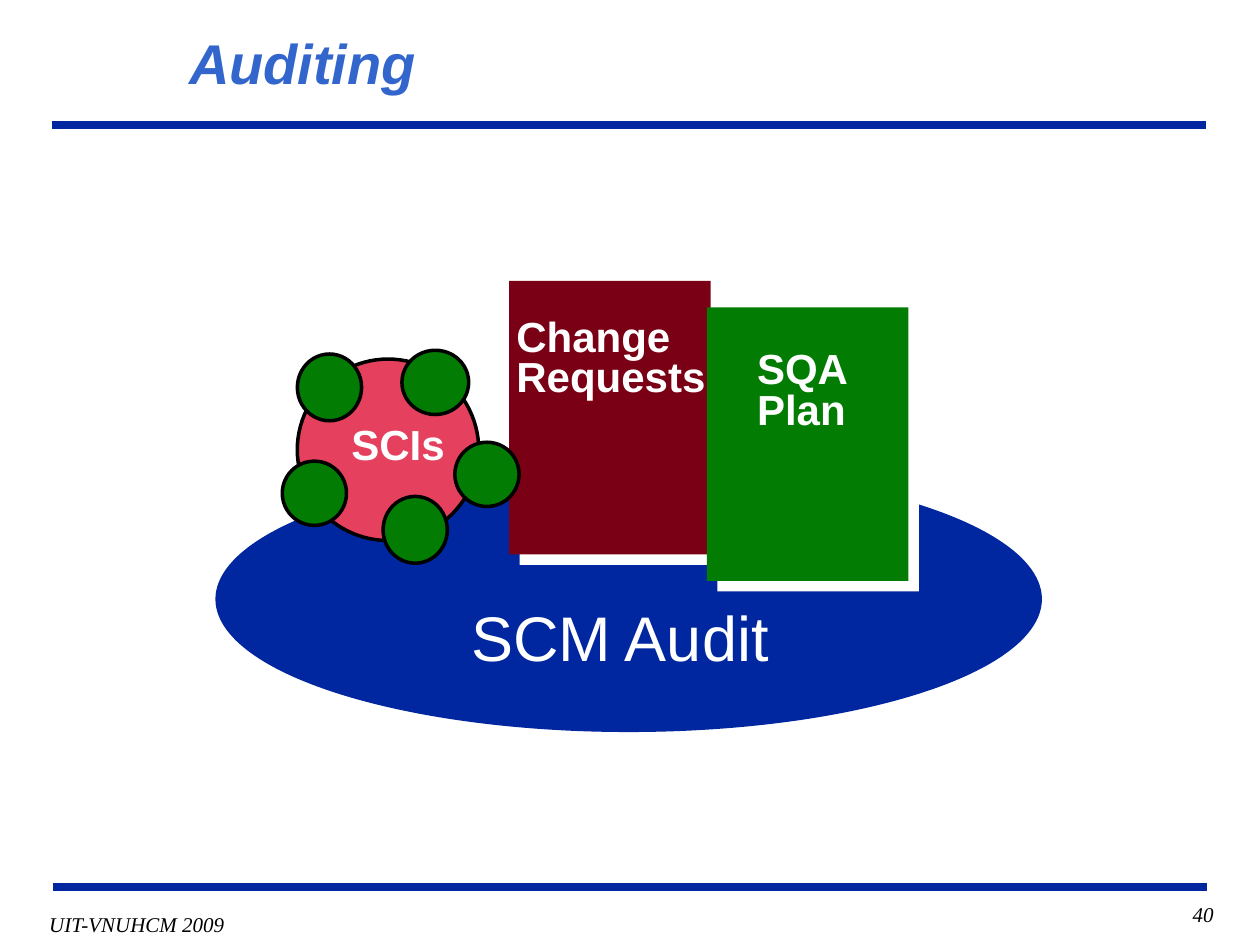
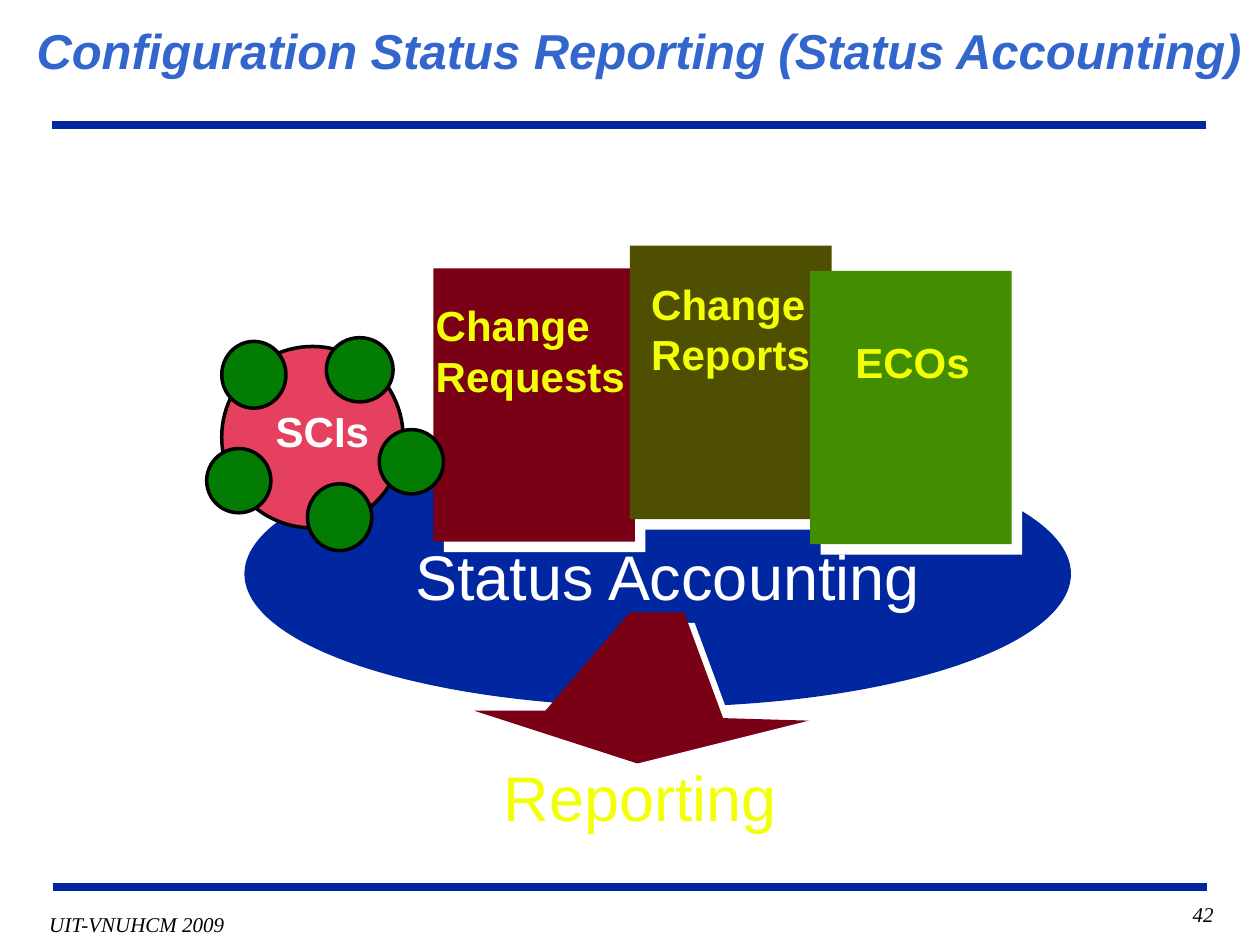
from lxml import etree
from pptx import Presentation
from pptx import util as u
from pptx.dml.color import RGBColor
from pptx.enum import shapes, text
from pptx.oxml import ns

NAVY, MAROON, GREEN, ROSE = "00279F", "790015", "037C03", "E5405D"
OLIVE, LEAF, YELLOW = "4E4F00", "438E00", "F3FF07"
TITLE_BLUE, WHITE, BLACK = "3366CC", "FFFFFF", "000000"
CARD_SIZE = (1.6, 2.17)
CARD_FONT = {"name": "Arial", "size": 24, "bold": True}
CAPTION_FONT = {"name": "Arial", "size": 36}
FOOTER_FONT = {"name": "Times New Roman", "size": 12, "italic": True}
NODES = [(0.8, 1.16, 0.51, 0.53), (1.37, 0.73, 0.51, 0.51), (0.95, 0, 0.53, 0.51),
         (0.12, 0.03, 0.51, 0.53), (0, 0.88, 0.51, 0.51)]
ARROW = [(1.24, 0), (0.57, 0.78), (0, 0.78), (1.3, 1.2), (2.66, 0.86), (1.98, 0.84), (1.67, 0)]


def color(value):
    return RGBColor.from_string(value)


def inches(values):
    return [u.Inches(value) for value in values]


def style_font(font, values, ink):
    for name, value in values.items():
        setattr(font, name, u.Pt(value) if name == "size" else value)
    font.color.rgb = color(ink)


def add_label(page, box, lines, font, ink, wrap=False, margins=(0.1, 0.05), **layout):
    label = page.shapes.add_textbox(*inches(box))
    frame = label.text_frame
    frame.text = "\n".join(lines)
    horizontal, vertical = inches(margins)
    settings = {"word_wrap": wrap, "margin_left": horizontal, "margin_right": horizontal,
                "margin_top": vertical, "margin_bottom": vertical,
                "auto_size": text.MSO_AUTO_SIZE.NONE if wrap else text.MSO_AUTO_SIZE.SHAPE_TO_FIT_TEXT}
    for name, value in settings.items():
        setattr(frame, name, value)
    for para in frame.paragraphs:
        for name, value in layout.items():
            setattr(para, name, value)
        for span in para.runs:
            style_font(span.font, font, ink)


def paint(shape, fill, outline=None):
    shape.shadow.inherit = False
    shape.fill.solid()
    shape.fill.fore_color.rgb = color(fill)
    if outline:
        shape.line.color.rgb = color(outline)
        shape.line.width = u.Pt(2)
    else:
        shape.line.fill.background()


def cast_shadow(shape):
    effects = shape.element.spPr.find(ns.qn("a:effectLst"))
    shadow = etree.SubElement(effects, ns.qn("a:outerShdw"), dist=str(u.Pt(8.5)),
                              dir=str(45 * 60000), algn="ctr", rotWithShape="0")
    etree.SubElement(shadow, ns.qn("a:srgbClr"), val=WHITE)


def add_figure(page, kind, box, fill, outline=None):
    figure = page.shapes.add_shape(kind, *inches(box))
    paint(figure, fill, outline)
    return figure


def add_rule(page, left, top):
    rule = page.shapes.add_connector(shapes.MSO_CONNECTOR.STRAIGHT,
                                     *inches((left, top, left + 9.16, top)))
    rule.line.color.rgb = color(NAVY)
    rule.line.width = u.Pt(4.5)
    etree.SubElement(rule.element.spPr, ns.qn("a:effectLst"))


def add_page(deck, title, title_box, title_size, number):
    page = deck.slides.add_slide(deck.slide_layouts[5])
    add_rule(page, 0.41, 0.99)
    add_rule(page, 0.42, 7.04)
    add_label(page, (0.29, 7.19, 1.59, 0.29), ["UIT-VNUHCM 2009"], FOOTER_FONT, BLACK,
              margins=(0.09, 0.04), alignment=text.PP_ALIGN.CENTER)
    add_label(page, (8.48, 7.11, 1.25, 0.33), [str(number)], FOOTER_FONT, BLACK,
              wrap=True, alignment=text.PP_ALIGN.RIGHT)
    heading = page.shapes.title
    heading.left, heading.top, heading.width, heading.height = inches(title_box)
    frame = heading.text_frame
    frame.text = title
    frame.auto_size = text.MSO_AUTO_SIZE.NONE
    frame.vertical_anchor = text.MSO_ANCHOR.MIDDLE
    para = frame.paragraphs[0]
    para.alignment = text.PP_ALIGN.LEFT
    style_font(para.runs[0].font,
               {"name": "Arial", "size": title_size, "bold": True, "italic": True}, TITLE_BLUE)
    return page


def add_base(page, left, top):
    base = add_figure(page, shapes.MSO_SHAPE.OVAL, (left, top, 6.56, 2.11), NAVY)
    cast_shadow(base)


def add_card(page, left, top, fill, lines, label_box, ink, spacing=1.0):
    card = add_figure(page, shapes.MSO_SHAPE.RECTANGLE, (left, top, *CARD_SIZE), fill)
    cast_shadow(card)
    x, y, width, height = label_box
    add_label(page, (left + x, top + y, width, height), lines, CARD_FONT, ink,
              line_spacing=spacing)


def add_sci_cluster(page, left, top):
    add_figure(page, shapes.MSO_SHAPE.OVAL, (left + 0.12, top + 0.07, 1.44, 1.44), ROSE, BLACK)
    add_label(page, (left + 0.45, top + 0.49, 0.94, 0.5), ["SCIs"], CARD_FONT, WHITE)
    for x, y, width, height in NODES:
        add_figure(page, shapes.MSO_SHAPE.OVAL, (left + x, top + y, width, height), GREEN, BLACK)


def add_report_arrow(page, left, top):
    points = [inches((left + x, top + y)) for x, y in ARROW]
    builder = page.shapes.build_freeform(*points[0])
    builder.add_line_segments(points[1:], close=True)
    arrow = builder.convert_to_shape()
    paint(arrow, MAROON)
    cast_shadow(arrow)


def build_auditing(deck):
    page = add_page(deck, "Auditing", (1.4, 0, 7.08, 0.98), 32, 40)
    add_base(page, 1.71, 3.7)
    add_card(page, 4.04, 2.23, MAROON, ["Change", "Requests"], (-0.04, 0.26, 1.7, 0.74), WHITE, 0.8)
    add_card(page, 5.61, 2.44, GREEN, ["SQA", "Plan"], (0.3, 0.31, 0.92, 0.74), WHITE, 0.8)
    add_sci_cluster(page, 2.24, 2.78)
    add_label(page, (3.64, 4.7, 2.59, 0.7), ["SCM Audit"], CAPTION_FONT, WHITE)


def build_status_reporting(deck):
    page = add_page(deck, "Configuration Status Reporting (Status Accounting)",
                    (0.19, 0, 9.81, 0.8), 28, 42)
    add_base(page, 1.94, 3.5)
    add_card(page, 3.44, 2.13, MAROON, ["Change", "Requests"], (-0.08, 0.2, 1.7, 0.9), YELLOW)
    add_card(page, 5, 1.95, OLIVE, ["Change", "Reports"], (0.07, 0.21, 1.51, 0.9), YELLOW)
    add_card(page, 6.43, 2.15, LEAF, ["ECOs"], (0.26, 0.47, 1.11, 0.5), YELLOW)
    add_sci_cluster(page, 1.64, 2.68)
    add_report_arrow(page, 3.76, 4.86)
    add_label(page, (3.2, 4.22, 4.23, 0.7), ["Status Accounting"], CAPTION_FONT, WHITE)
    add_label(page, (3.9, 5.97, 2.37, 0.7), ["Reporting"], CAPTION_FONT, YELLOW)


def main():
    deck = Presentation()
    deck.slide_width, deck.slide_height = inches((10, 7.5))
    build_auditing(deck)
    build_status_reporting(deck)
    deck.save("out.pptx")


if __name__ == "__main__":
    main()
